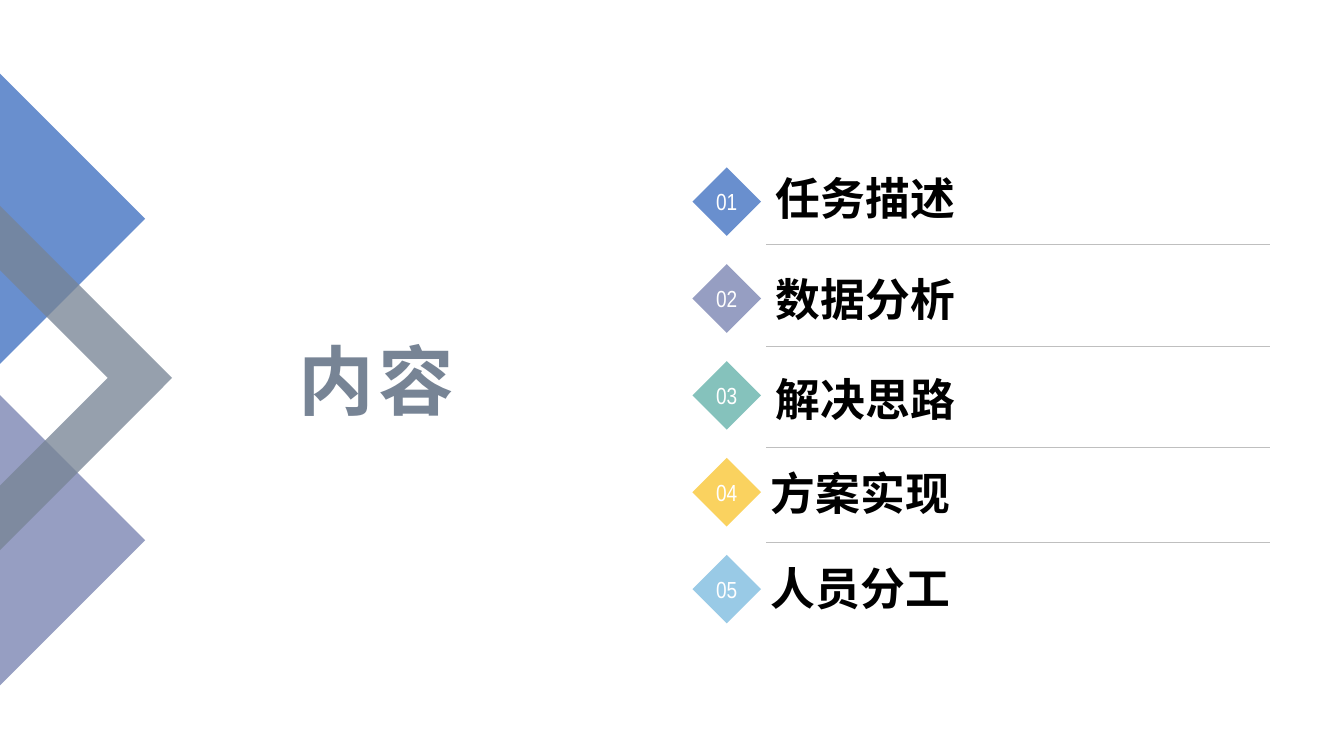
from typing import NamedTuple, Optional

from lxml.etree import SubElement
from pptx import Presentation
from pptx.dml.color import RGBColor
from pptx.enum.shapes import MSO_CONNECTOR as Link, MSO_SHAPE as Form
from pptx.enum.text import MSO_ANCHOR as Anchor, PP_ALIGN as Align
from pptx.oxml.ns import qn
from pptx.util import Pt

BLUE = RGBColor(0x69, 0x8F, 0xCE)
PURPLE = RGBColor(0x96, 0x9E, 0xC2)
TEAL = RGBColor(0x85, 0xC2, 0xBC)
YELLOW = RGBColor(0xFA, 0xD2, 0x5F)
SKY = RGBColor(0x99, 0xCA, 0xE6)
SLATE = RGBColor(0x77, 0x84, 0x95)
SILVER = RGBColor(0xBF, 0xBF, 0xBF)
WHITE = RGBColor(0xFF, 0xFF, 0xFF)
BLACK = RGBColor(0, 0, 0)

BADGE_X, BADGE_Y, BADGE, PITCH = 494.6, 119.5, 49, 69.2
RULE_X, RULE_END = 547.2, 907.2
LABEL_W, LABEL_H = 311.8, 23.8


class Item(NamedTuple):
    """One line of the agenda; rule is the height of the line below it."""
    text: str
    color: RGBColor
    left: float
    top: float
    rule: Optional[float] = None


class Band(NamedTuple):
    """One shape of the left edge, with its corners in points."""
    color: RGBColor
    corners: list[tuple[float, float]]
    alpha: int = 100


ITEMS = [
    Item("任务描述", BLUE, 547.2, 140.4, 174.2),
    Item("数据分析", PURPLE, 547.2, 212.4, 247),
    Item("解决思路", TEAL, 547.2, 283.7, 319.7),
    Item("方案实现", YELLOW, 543.6, 350.6, 387.4),
    Item("人员分工", SKY, 543.6, 419),
]
BANDS = [
    Band(PURPLE, [(0, 489.6), (0, 282.2), (103.7, 385.9)]),
    Band(BLUE, [(0, 52.6), (103.7, 156.2), (0, 259.9)]),
    Band(SLATE, [(122.9, 270), (0, 393), (0, 347), (77, 270),
                 (0, 193), (0, 147)], 77),
]


def write(shape, text: str, *, size: float, color: RGBColor,
          font: str = "Arial", bold: bool = False, align=Align.LEFT,
          anchor=Anchor.MIDDLE, wrap: bool = True, gap: float = 0) -> None:
    """Put formatted text into a shape; gap is the letter spacing."""
    frame = shape.text_frame
    frame.word_wrap = wrap
    frame.vertical_anchor = anchor
    para = frame.paragraphs[0]
    para.alignment = align
    run = para.add_run()
    run.text = text
    run.font.size = Pt(size)
    run.font.name = font
    run.font.bold = bold
    run.font.color.rgb = color
    if gap:
        run._r.get_or_add_rPr().set("spc", str(round(gap * 100)))


def paint(shape, color: RGBColor, alpha: int = 100) -> None:
    """Fill a shape without line or shadow; alpha is in percent."""
    shape.shadow.inherit = False
    shape.line.fill.background()
    shape.fill.solid()
    shape.fill.fore_color.rgb = color
    if alpha < 100:
        tone = shape._element.spPr.find(f"{qn('a:solidFill')}/{qn('a:srgbClr')}")
        SubElement(tone, qn("a:alpha")).set("val", str(alpha * 1000))


def add_band(shapes, band: Band) -> None:
    """Draw one shape of the left edge."""
    first, *rest = [(Pt(x), Pt(y)) for x, y in band.corners]
    pen = shapes.build_freeform(*first)
    pen.add_line_segments(rest, close=True)
    paint(pen.convert_to_shape(), band.color, band.alpha)


def add_rule(shapes, y: float) -> None:
    """Draw a thin line across the agenda."""
    rule = shapes.add_connector(Link.STRAIGHT, Pt(RULE_X), Pt(y),
                                Pt(RULE_END), Pt(y))
    rule.line.color.rgb = SILVER
    rule.line.width = Pt(0.25)
    SubElement(rule._element.spPr, qn("a:effectLst"))


def add_item(shapes, index: int, item: Item) -> None:
    """Draw the badge, the label and the rule of one agenda line."""
    badge = shapes.add_shape(Form.DIAMOND, Pt(BADGE_X),
                             Pt(BADGE_Y + index * PITCH), Pt(BADGE), Pt(BADGE))
    paint(badge, item.color)
    write(badge, f"{index + 1:02}", size=16.6, color=WHITE,
          font="Arial Narrow", align=Align.CENTER, wrap=False)
    label = shapes.add_textbox(Pt(item.left), Pt(item.top),
                               Pt(LABEL_W), Pt(LABEL_H))
    write(label, item.text, size=32, color=BLACK, bold=True,
          anchor=Anchor.BOTTOM)
    if item.rule is not None:
        add_rule(shapes, item.rule)


def main() -> None:
    """Build the agenda slide and save it."""
    deck = Presentation()
    deck.slide_width, deck.slide_height = Pt(960), Pt(540)
    shapes = deck.slides.add_slide(deck.slide_layouts[6]).shapes
    for band in BANDS:
        add_band(shapes, band)
    title = shapes.add_textbox(Pt(121.7), Pt(234.7), Pt(294.5), Pt(72.7))
    write(title, "内容", size=54, color=SLATE, bold=True,
          align=Align.CENTER, gap=3)
    for index, item in enumerate(ITEMS):
        add_item(shapes, index, item)
    deck.save("out.pptx")


main()
